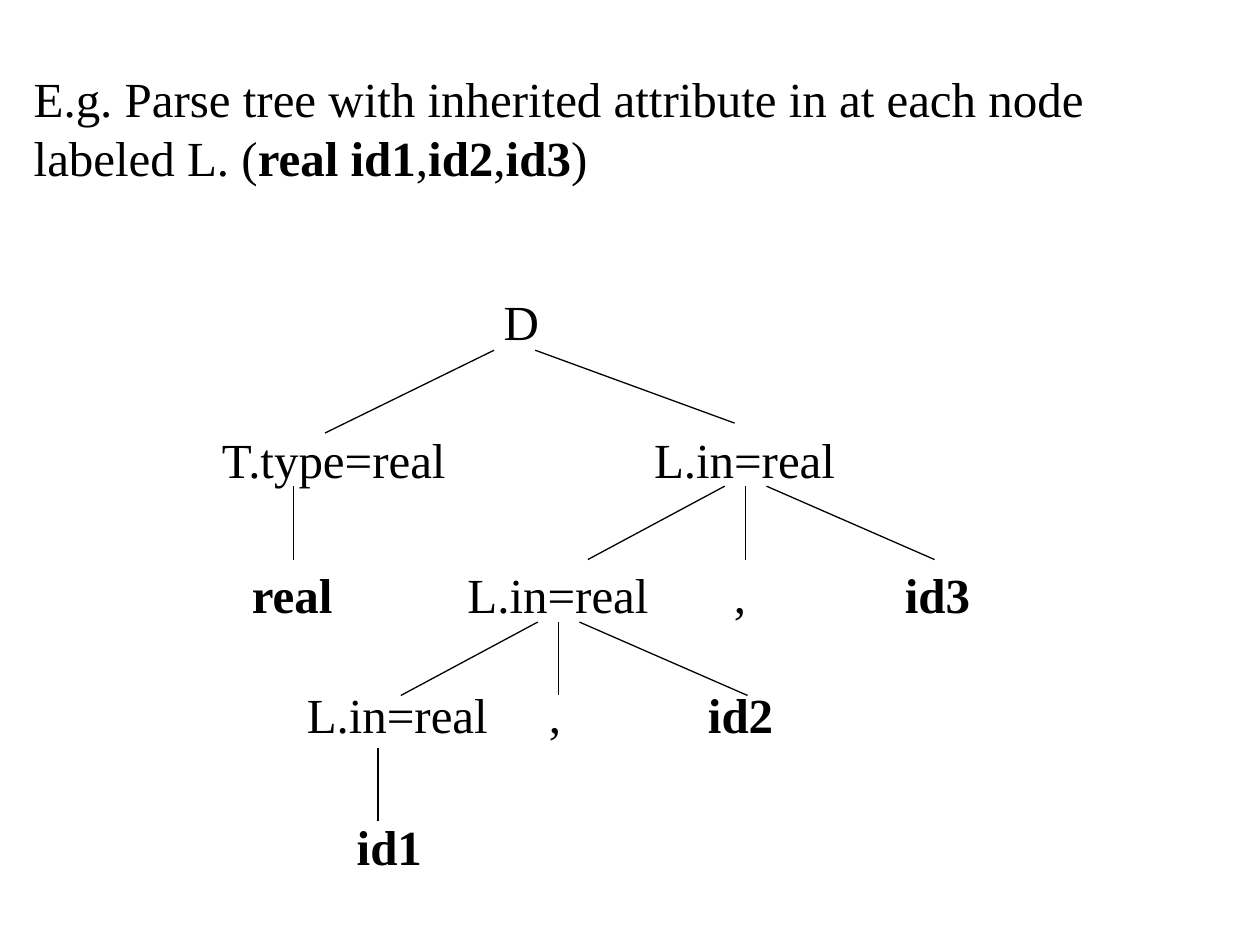
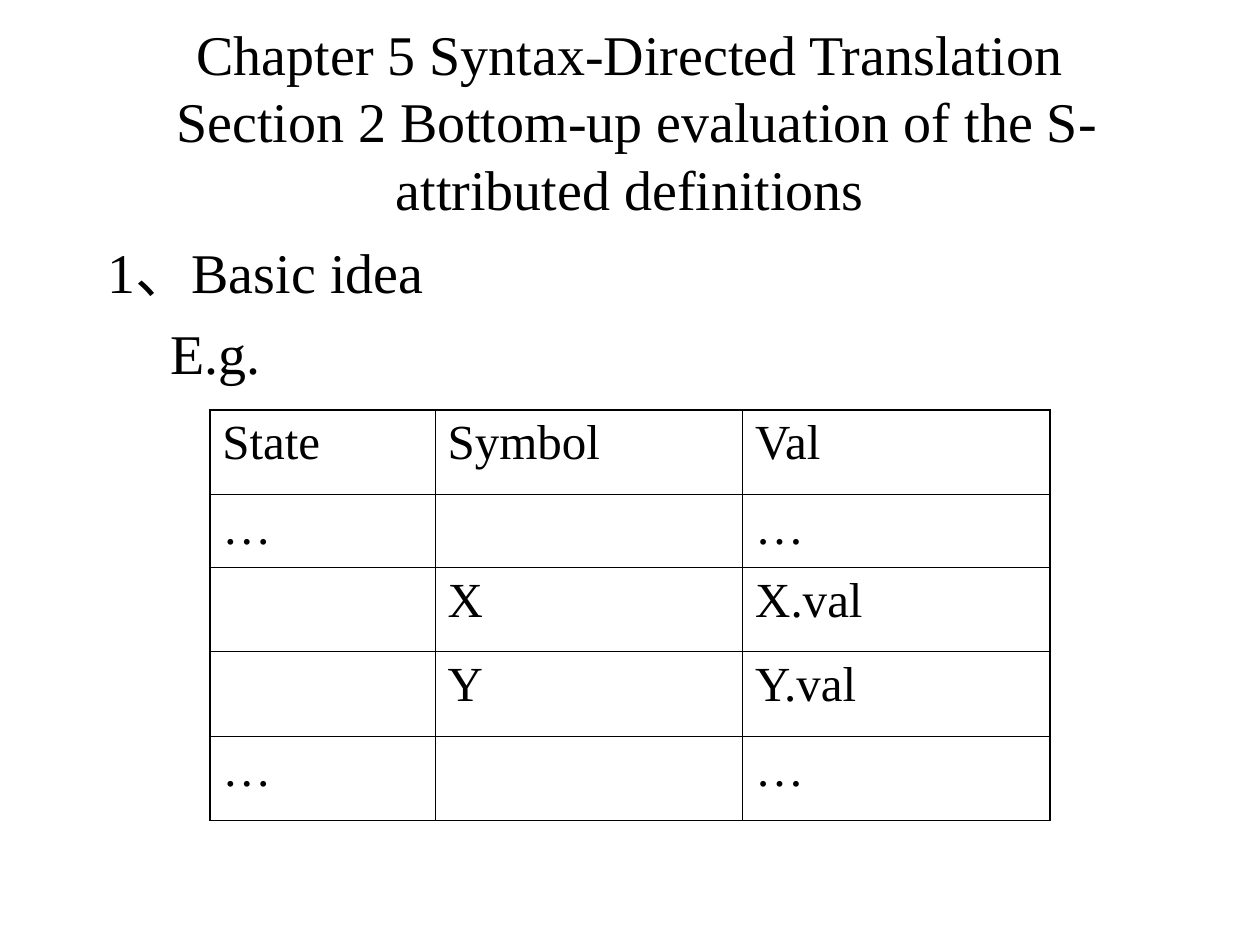
from lxml.etree import SubElement
from pptx import Presentation
from pptx.dml.color import RGBColor
from pptx.enum.shapes import MSO_CONNECTOR as Connector
from pptx.enum.text import MSO_ANCHOR as Anchor, PP_ALIGN as Align
from pptx.oxml.ns import qn
from pptx.util import Cm, Pt

FONT = "Times New Roman"
INK = "000000"
BODY_SIZE = 28
HEADING_SIZE = 32
LABEL_WIDTHS = {"D": 1.3, "T.type=real": 5.3, "L.in=real": 4.3, "real": 2.3,
                ",": 0.9, "id1": 2, "id2": 2, "id3": 2}
TREE_LEVELS = [
    (0, [("D", 6.27)]),
    (2.77, [("T.type=real", 2.49), ("L.in=real", 10.77)]),
    (5.49, [("real", 1.65), ("L.in=real", 7.01), (",", 10.68), ("id3", 14.66)]),
    (7.92, [("L.in=real", 3.77), (",", 6.95), ("id2", 10.69)]),
    (10.57, [("id1", 3.61)]),
]
TERMINALS = {"real", "id1", "id2", "id3"}
BRANCH_DROP = 1.48
STACK_ROWS = [("State", "Symbol", "Val"), ("…", "", "…"), ("", "X", "X.val"),
              ("", "Y", "Y.val"), ("…", "", "…")]


def color(hex_code):
    """Turn a hex string into a colour."""
    return RGBColor.from_string(hex_code)


def write(paragraph, text, size=BODY_SIZE, bold=False, align=Align.LEFT, before=0):
    """Add a formatted run of text to a paragraph."""
    paragraph.alignment = align
    paragraph.space_before = Pt(before)
    run = paragraph.add_run()
    run.text = text
    run.font.name = FONT
    run.font.size = Pt(size)
    run.font.bold = bold
    run.font.color.rgb = color(INK)


def text_frame(shapes, left, top, width, height, wrap=True, anchor=Anchor.TOP):
    """Add an empty text box and return its frame."""
    frame = shapes.add_textbox(Cm(left), Cm(top), Cm(width), Cm(height)).text_frame
    frame.word_wrap = wrap
    frame.vertical_anchor = anchor
    return frame


def indent(paragraph, margin, hanging):
    """Give a paragraph a hanging indent."""
    properties = paragraph._p.get_or_add_pPr()
    properties.set("marL", str(Cm(margin)))
    properties.set("indent", str(-Cm(hanging)))


def add_branch(shapes, start_x, start_y, end_x, end_y):
    """Draw one thin branch of the tree."""
    branch = shapes.add_connector(Connector.STRAIGHT, Cm(start_x), Cm(start_y),
                                  Cm(end_x), Cm(end_y))
    branch.line.color.rgb = color(INK)
    branch.line.width = Pt(0.75)
    SubElement(branch._element.spPr, qn("a:effectLst"))


def add_example(slide, left, top, width, height):
    """State the example, with its declaration in bold."""
    paragraph = text_frame(slide.shapes, left, top, width, height).paragraphs[0]
    write(paragraph, "E.g. Parse tree with inherited attribute in at each node labeled L. (")
    for token, bold in [("real id1", True), (",", False), ("id2", True),
                        (",", False), ("id3", True), (")", False)]:
        write(paragraph, token, bold=bold)


def add_parse_tree(slide, left, top):
    """Draw the annotated parse tree from its top left corner."""
    shapes = slide.shapes.add_group_shape().shapes
    for level_top, nodes in TREE_LEVELS:
        for label, center in nodes:
            width = LABEL_WIDTHS[label]
            frame = text_frame(shapes, left + center - width / 2, top + level_top,
                               width, 1.45, wrap=False)
            write(frame.paragraphs[0], label, bold=label in TERMINALS, align=Align.CENTER)

    branches = [(5.72, 1.3, 2.31, 2.97), (6.55, 1.3, 10.57, 2.77)]
    for x, y in [(1.68, 4.04), (3.38, 9.32)]:
        branches.append((x, y, x, y + BRANCH_DROP))
    for x, y in [(10.79, 4.04), (7.02, 6.78)]:
        for start, end in [(-0.42, -3.18), (0, 0), (0.42, 3.81)]:
            branches.append((x + start, y, x + end, y + BRANCH_DROP))
    for start_x, start_y, end_x, end_y in branches:
        add_branch(shapes, left + start_x, top + start_y, left + end_x, top + end_y)


def add_title(slide, left, top, width, height):
    """Write the centred chapter and section title."""
    frame = text_frame(slide.shapes, left, top, width, height, anchor=Anchor.MIDDLE)
    title = frame.paragraphs[0]
    write(title, "Chapter 5 Syntax-Directed Translation", size=HEADING_SIZE, align=Align.CENTER)
    title.add_line_break()
    write(title, " Section 2 Bottom-up evaluation of the S-attributed definitions",
          size=HEADING_SIZE, align=Align.CENTER)


def add_outline(slide, left, top, width, height):
    """Write the numbered point and its example line."""
    frame = text_frame(slide.shapes, left, top, width, height)
    point, example = frame.paragraphs[0], frame.add_paragraph()
    write(point, "1、Basic idea", size=HEADING_SIZE, before=8)
    indent(point, 0.95, 0.95)
    example.level = 1
    write(example, "E.g.", size=HEADING_SIZE, before=8)
    indent(example, 2.06, 0.79)


def add_border(cell, side, width):
    """Draw one side of a cell."""
    border = SubElement(cell._tc.get_or_add_tcPr(), qn(f"a:ln{side}"), w=str(Pt(width)))
    fill = SubElement(border, qn("a:solidFill"))
    SubElement(fill, qn("a:srgbClr"), val=INK)


def add_stack_table(slide, left, top):
    """Build the parser stack table with a heavier outer frame."""
    column_widths = [4.54, 6.2, 6.2]
    row_heights = [1.7, 1.48, 1.7, 1.7, 1.7]
    table = slide.shapes.add_table(len(row_heights), len(column_widths), Cm(left), Cm(top),
                                   Cm(sum(column_widths)), Cm(sum(row_heights))).table
    table.first_row = table.horz_banding = False
    for column, width in zip(table.columns, column_widths):
        column.width = Cm(width)
    last_row, last_column = len(row_heights) - 1, len(column_widths) - 1
    for r, (entries, height) in enumerate(zip(STACK_ROWS, row_heights)):
        table.rows[r].height = Cm(height)
        for c, entry in enumerate(entries):
            cell = table.cell(r, c)
            outer = {"L": c == 0, "R": c == last_column, "T": r == 0, "B": r == last_row}
            for side, is_outer in outer.items():
                add_border(cell, side, 1.08 if is_outer else 0.45)
            cell.fill.background()
            if entry:
                write(cell.text_frame.paragraphs[0], entry, before=7)


def build_parse_tree_slide(slide):
    """Lay out the parse tree slide."""
    add_parse_tree(slide, 4.24, 5.76)
    add_example(slide, 0.43, 1.25, 23.7, 2.64)


def build_evaluation_slide(slide):
    """Lay out the bottom-up evaluation slide."""
    add_title(slide, 1.91, 0.42, 21.59, 4.02)
    add_outline(slide, 1.92, 4.66, 21.59, 12.7)
    add_stack_table(slide, 4.23, 8.26)


def main():
    """Build and save the presentation."""
    deck = Presentation()
    deck.slide_width, deck.slide_height = Cm(25.4), Cm(19.05)
    for build in (build_parse_tree_slide, build_evaluation_slide):
        build(deck.slides.add_slide(deck.slide_layouts[6]))
    deck.save("out.pptx")


if __name__ == "__main__":
    main()
